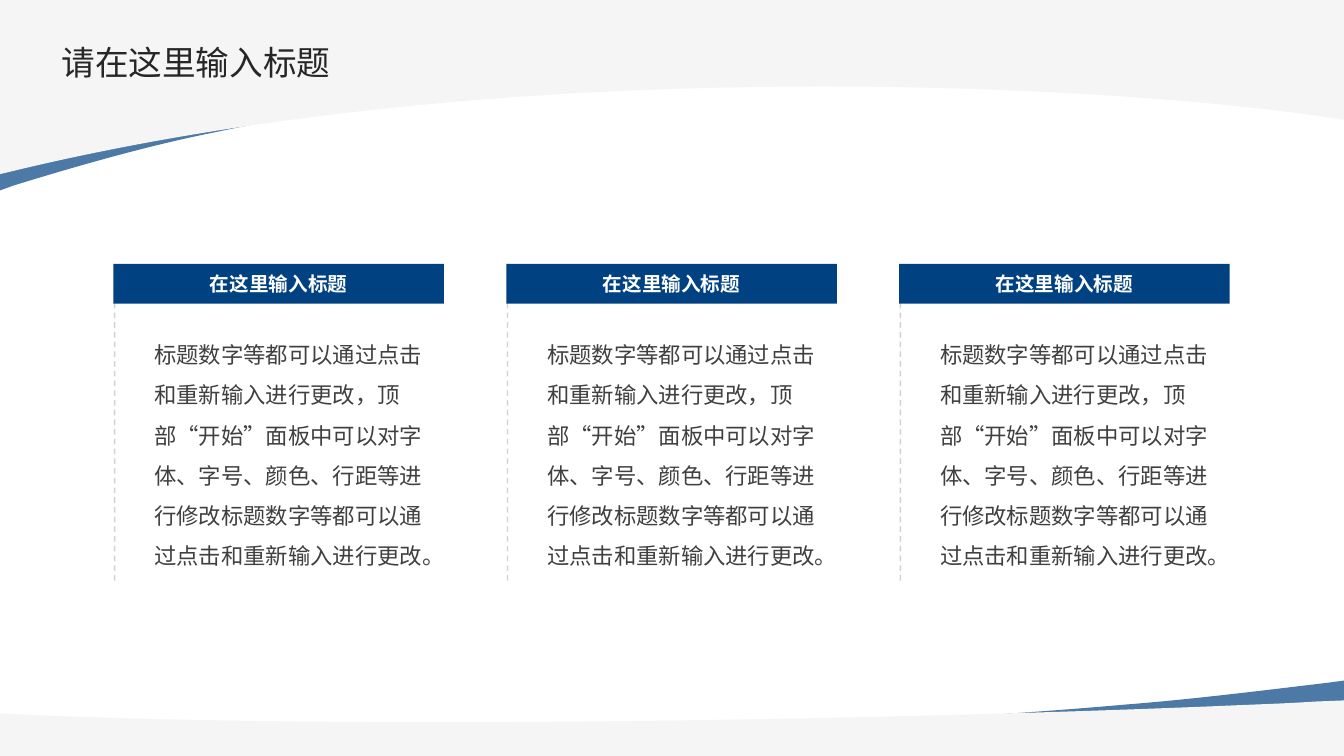
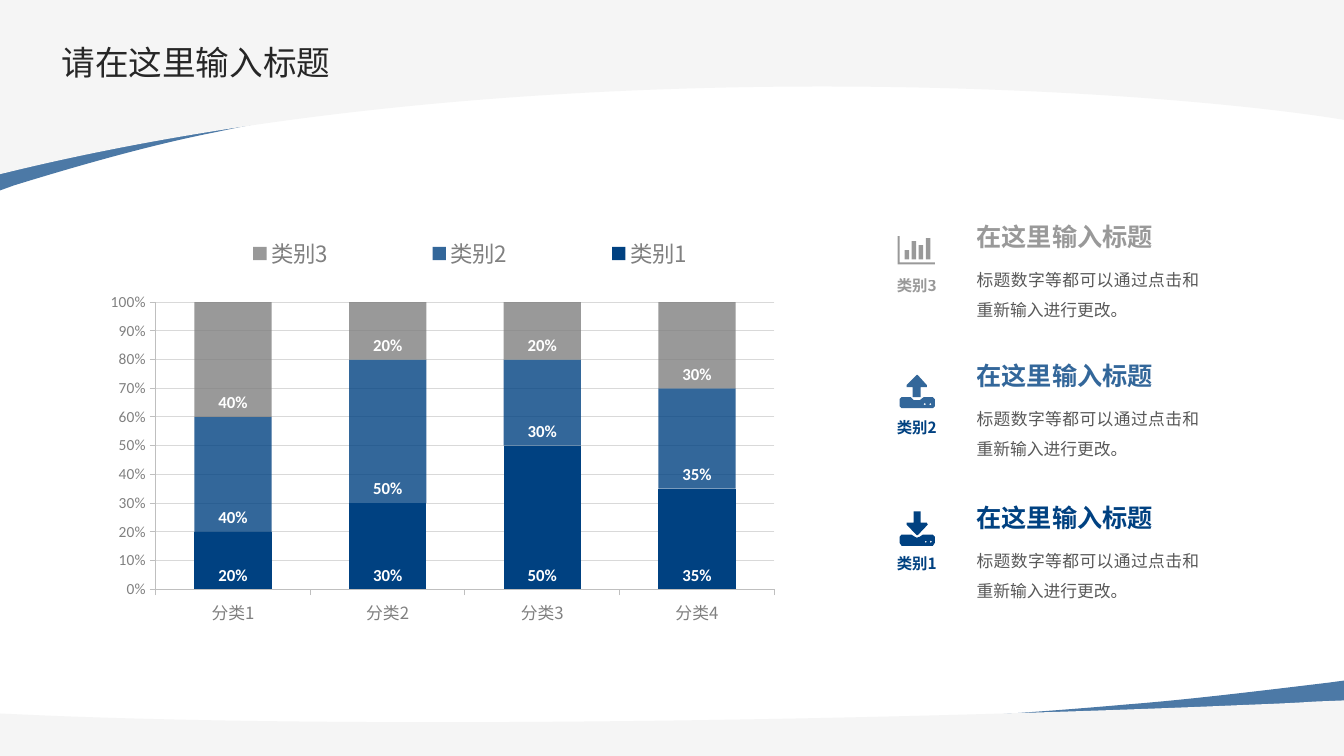
from lxml import etree
from pptx import Presentation
from pptx import util as u
from pptx.chart.data import CategoryChartData
from pptx.dml.color import RGBColor
from pptx.enum import chart as charts, dml, shapes, text
from pptx.oxml import parse_xml
from pptx.oxml.ns import nsdecls, qn

# Shared look
FONT = "Noto Sans CJK SC"
BLUE, GREY, WHITE = "004181", "808080", "FFFFFF"
BAND, RULE, GRID = "F5F5F5", "BFBFBF", "D9D9D9"
TITLE_COLOR, BODY_COLOR, NOTE_COLOR = "262626", "404040", "595959"
LINE_HEIGHT = 1.2
ICON_UNIT = u.Cm(2.54) / 100

# Background outlines in cm: two numbers make a line, six make a curve
BACKGROUND = [
    ([(0, 4.8), (0, 0.56), (33.87, 0.56), (33.87, 2.31),
      (26.21, 0.56, 13.06, 1.7, 5.44, 3.33),
      (3.91, 3.63, 2.18, 4.11, 0.36, 4.67)], BLUE, 70),
    ([(0, 0), (33.87, 0), (33.87, 3.02),
      (28.96, 2.21, 13.13, 1.14, 0, 4.39)], BAND, 100),
    ([(33.87, 17.15), (33.87, 18.9), (0, 18.9), (0, 18.16),
      (7.65, 18.9, 20.83, 18.42, 28.42, 17.75),
      (29.95, 17.63, 31.67, 17.42, 33.5, 17.2)], BLUE, 70),
    ([(33.87, 17.65), (33.87, 19.05), (0, 19.05), (0, 17.98), (1.12, 18.03),
      (9.96, 18.39, 23.11, 18.11, 30.99, 17.78),
      (31.65, 17.75, 32.39, 17.73, 33.12, 17.68)], BAND, 100),
]

SLIDE_TITLE = "请在这里输入标题"
HEADING = "在这里输入标题"
COLUMN_TEXT = ("标题数字等都可以通过点击和重新输入进行更改，顶部“开始”面板中可以对字体、字号、"
               "颜色、行距等进行修改标题数字等都可以通过点击和重新输入进行更改。")
NOTE_TEXT = "标题数字等都可以通过点击和重新输入进行更改。"


def rgb(value):
    return RGBColor.from_string(value)


def set_alpha(element, percent):
    if percent < 100:
        for color in element.iter(qn("a:srgbClr")):
            etree.SubElement(color, qn("a:alpha")).set("val", str(percent * 1000))


def set_east_asian_font(element):
    for latin in list(element.iter(qn("a:latin"))):
        east_asian = etree.Element(qn("a:ea"))
        east_asian.set("typeface", FONT)
        latin.addnext(east_asian)


# Outlines
def bend_curves(shape, contours):
    """Join the three lines drawn for each six-number step into one curve."""
    outline = shape.element.find(f'.//{qn("a:path")}')
    segments = iter(list(outline))
    for contour in contours:
        next(segments)  # start point
        for step in contour[1:]:
            lines = [next(segments) for _ in range(len(step) // 2)]
            if len(lines) == 3:
                curve = etree.Element(qn("a:cubicBezTo"))
                lines[0].addprevious(curve)
                for line in lines:
                    curve.append(line[0])
                    outline.remove(line)
        next(segments)  # closing


def add_outline(slide, contours, color, alpha=100, left=0, top=0, unit=u.Cm(1)):
    builder = None
    for contour in contours:
        start, *points = [(left + step[i] * unit, top + step[i + 1] * unit)
                          for step in contour for i in range(0, len(step), 2)]
        if builder is None:
            builder = slide.shapes.build_freeform(*start, scale=1.0)
        else:
            builder.move_to(*start)
        builder.add_line_segments(points, close=True)
    shape = builder.convert_to_shape()
    bend_curves(shape, contours)
    shape.shadow.inherit = False
    shape.fill.solid()
    shape.fill.fore_color.rgb = rgb(color)
    set_alpha(shape.element.spPr, alpha)
    shape.line.fill.background()


# Text
def write(shape, content, size, color, alpha=100, bold=False, spacing=1.0,
          align=text.PP_ALIGN.LEFT, anchor=text.MSO_ANCHOR.TOP, margins=None):
    frame = shape.text_frame
    frame.word_wrap = True
    frame.vertical_anchor = anchor
    if margins:
        (frame.margin_left, frame.margin_top,
         frame.margin_right, frame.margin_bottom) = map(u.Cm, margins)
    paragraph = frame.paragraphs[0]
    paragraph.text = content
    paragraph.alignment = align
    paragraph.line_spacing = u.Pt(round(size * LINE_HEIGHT * spacing, 1))
    style_font(paragraph.font, size, color, bold)
    set_alpha(paragraph._p, alpha)
    set_east_asian_font(paragraph._p)


def style_font(font, size, color, bold=False, name=FONT):
    font.size = u.Pt(size)
    font.bold = bold
    font.name = name
    font.color.rgb = rgb(color)


def add_text(slide, left, top, width, height, *args, **options):
    box = slide.shapes.add_textbox(u.Cm(left), u.Cm(top), u.Cm(width), u.Cm(height))
    write(box, *args, **options)


def add_slide(presentation):
    slide = presentation.slides.add_slide(presentation.slide_layouts[6])
    for outline, color, alpha in BACKGROUND:
        add_outline(slide, [outline], color, alpha)
    add_text(slide, 1.35, 1, 30.48, 1.47, SLIDE_TITLE, 24, TITLE_COLOR,
             spacing=0.9, margins=(0.2, 0.15, 0, 0.2))
    return slide


# Text column with a header bar and a dashed rule
def add_column(slide, left):
    top, width = 6.65, 8.33
    rule = slide.shapes.add_connector(
        shapes.MSO_CONNECTOR.STRAIGHT, u.Cm(left + 0.03), u.Cm(top),
        u.Cm(left + 0.03), u.Cm(14.65))
    rule.line.color.rgb = rgb(RULE)
    rule.line.width = u.Pt(1)
    rule.line.dash_style = dml.MSO_LINE.DASH
    set_alpha(rule.element.spPr, 70)
    etree.SubElement(rule.element.spPr, qn("a:effectLst"))

    header = slide.shapes.add_shape(shapes.MSO_SHAPE.RECTANGLE, u.Cm(left), u.Cm(top),
                                    u.Cm(width), u.Cm(1))
    header.shadow.inherit = False
    header.fill.solid()
    header.fill.fore_color.rgb = rgb(BLUE)
    header.line.fill.background()
    write(header, HEADING, 14, WHITE, bold=True, align=text.PP_ALIGN.CENTER,
          anchor=text.MSO_ANCHOR.MIDDLE, margins=(0.25, 0.2, 0.25, 0.2))
    add_text(slide, left + 0.78, 8.13, 7.57, 6.3, COLUMN_TEXT, 16, BODY_COLOR,
             spacing=1.5)


# Icons, in hundredths of an inch
def box_contour(left, top, right, bottom):
    return [(left, top), (right, top), (right, bottom), (left, bottom)]


def dot_contour(x, y, r=1.2):
    k = r * 0.55
    return [(x + r, y),
            (x + r, y + k, x + k, y + r, x, y + r),
            (x - k, y + r, x - r, y + k, x - r, y),
            (x - r, y - k, x - k, y - r, x, y - r),
            (x + k, y - r, x + r, y - k, x + r, y)]


BARS_ICON = [[(0, 0), (2, 0), (2, 26), (37, 26), (37, 28), (0, 28)]] + [
    box_contour(left, top, left + 4.5, 23)
    for left, top in ((7, 14), (14, 5), (21, 9), (28, 2))]
UPLOAD_ICON = [
    [(0, 24), (2, 22), (11, 22), (14, 25), (20, 25), (24, 22), (33, 22), (35, 24),
     (35, 31), (33, 33), (2, 33), (0, 31)],
    [(17, 0), (18, 0), (27, 10), (27, 12), (21, 12), (21, 22), (13, 22), (13, 12),
     (7, 12), (7, 10)],
    dot_contour(25, 29), dot_contour(30.5, 29)]
DOWNLOAD_ICON = [
    [(0, 25), (2, 23), (12, 23), (15, 25), (17, 26), (20, 25), (23, 23), (33, 23),
     (35, 25), (35, 31), (33, 34), (2, 34), (0, 31)],
    [(14, 0), (21, 0), (21, 11), (27, 11), (28, 13), (18, 23.5), (17, 23.5), (7, 13),
     (7, 11), (14, 11)],
    dot_contour(26, 30), dot_contour(31, 30)]


def add_note(slide, top, name, icon, icon_left, icon_top, label_top, color, alpha,
             label_alpha):
    add_outline(slide, icon, color, alpha, u.Cm(icon_left), u.Cm(icon_top), ICON_UNIT)
    add_text(slide, 22.28, label_top, 1.65, 0.48, name, 11, color, label_alpha, bold=True,
             align=text.PP_ALIGN.CENTER, margins=(0, 0, 0, 0))
    add_text(slide, 24.36, top, 5, 0.81, HEADING, 18, color, alpha, bold=True,
             spacing=0.7, anchor=text.MSO_ANCHOR.MIDDLE)
    add_text(slide, 24.36, top + 0.74, 6.12, 1.7, NOTE_TEXT, 12, NOTE_COLOR,
             spacing=1.5, align=text.PP_ALIGN.JUSTIFY)


# Chart
def manual_layout(x, y, width, height, inner=False):
    target = '<c:layoutTarget val="inner"/>' if inner else ""
    sizes = "".join(f'<c:{tag} val="{value}"/>' for tag, value in
                    (("x", x), ("y", y), ("w", width), ("h", height)))
    return parse_xml(
        f'<c:layout {nsdecls("c")}><c:manualLayout>{target}<c:xMode val="edge"/>'
        f'<c:yMode val="edge"/>{sizes}</c:manualLayout></c:layout>')


def style_axis(axis, size, name):
    style_font(axis.tick_labels.font, size, GREY, name=name)
    axis.major_tick_mark = charts.XL_TICK_MARK.OUTSIDE
    axis.minor_tick_mark = charts.XL_TICK_MARK.NONE
    axis.format.line.color.rgb = rgb(RULE)
    axis.format.line.width = u.Pt(0.75)


def add_share_chart(slide):
    data = CategoryChartData(number_format="0%")
    data.categories = [f"分类{i}" for i in range(1, 5)]
    data.add_series("类别1", (0.2, 0.3, 0.5, 0.35))
    data.add_series("类别2", (0.4, 0.5, 0.3, 0.35))
    data.add_series("类别3", (0.4, 0.2, 0.2, 0.3))
    chart = slide.shapes.add_chart(
        charts.XL_CHART_TYPE.COLUMN_STACKED_100, u.Cm(1.54), u.Cm(3.9), u.Cm(19.08),
        u.Cm(12.14), data).chart
    chart.has_title = False
    style_font(chart.font, 18, "000000", name="Calibri")

    style_axis(chart.category_axis, 12, FONT)
    axis = chart.value_axis
    style_axis(axis, 11, "Calibri")
    axis.minimum_scale, axis.maximum_scale, axis.major_unit = 0, 1, 0.1
    axis.tick_labels.number_format = "0%"
    axis.tick_labels.number_format_is_linked = False
    axis.has_major_gridlines = True
    axis.major_gridlines.format.line.color.rgb = rgb(GRID)
    axis.major_gridlines.format.line.width = u.Pt(0.75)

    plot = chart.plots[0]
    plot.vary_by_categories = False
    plot.gap_width, plot.overlap = 100, 100
    for series, color, alpha in zip(plot.series, (BLUE, BLUE, GREY), (100, 80, 80)):
        series.format.fill.solid()
        series.format.fill.fore_color.rgb = rgb(color)
        set_alpha(series.format.fill._xPr, alpha)
        labels = series.data_labels
        labels.show_value = True
        labels.number_format = "0%"
        labels.number_format_is_linked = False
        labels.position = charts.XL_LABEL_POSITION.INSIDE_BASE
        style_font(labels.font, 12, WHITE, bold=True, name="Calibri")

    chart.has_legend = True
    legend = chart.legend
    legend.position = charts.XL_LEGEND_POSITION.RIGHT
    legend.include_in_layout = False
    style_font(legend.font, 16, GREY)

    # Fixed places for the plot and for the legend above it
    plot_area = chart.element.find(f'.//{qn("c:plotArea")}')
    legend_element = chart.element.find(f'.//{qn("c:legend")}')
    for parent in (plot_area, legend_element):
        for layout in parent.findall(qn("c:layout")):
            parent.remove(layout)
    plot_area.insert(0, manual_layout(0.125, 0.306, 0.817, 0.596, inner=True))
    legend_element.find(qn("c:legendPos")).addnext(manual_layout(0.125, 0.15, 0.83, 0.11))
    set_east_asian_font(chart.element)


def main():
    presentation = Presentation()
    presentation.slide_width, presentation.slide_height = u.Cm(33.87), u.Cm(19.05)

    # Three text columns
    slide = add_slide(presentation)
    for column in range(3):
        add_column(slide, 2.86 + column * 9.9)

    # Chart with three notes
    slide = add_slide(presentation)
    add_share_chart(slide)
    add_note(slide, 5.67, "类别3", BARS_ICON, 22.62, 5.95, 6.97, GREY, 80, 80)
    add_note(slide, 9.17, "类别2", UPLOAD_ICON, 22.67, 9.45, 10.54, BLUE, 80, 100)
    add_note(slide, 12.76, "类别1", DOWNLOAD_ICON, 22.67, 12.89, 13.97, BLUE, 100, 100)

    presentation.save("out.pptx")


if __name__ == "__main__":
    main()
